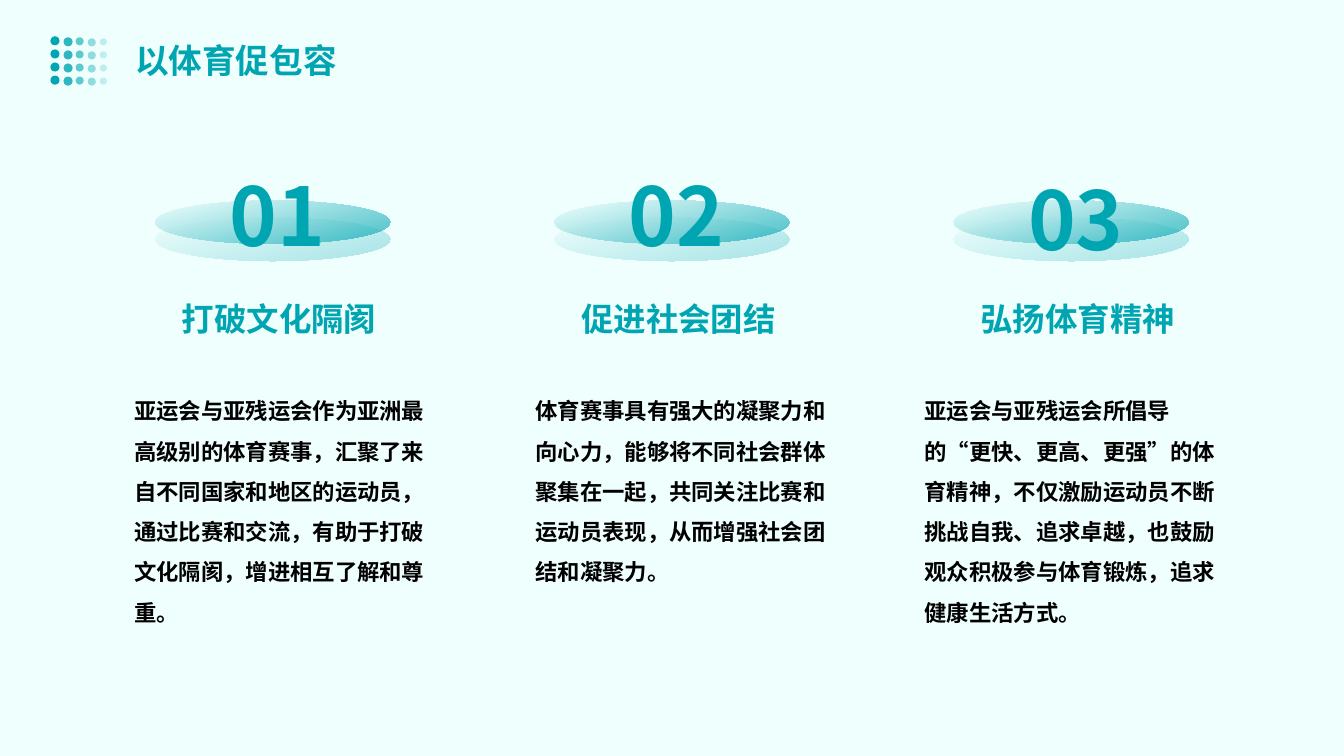
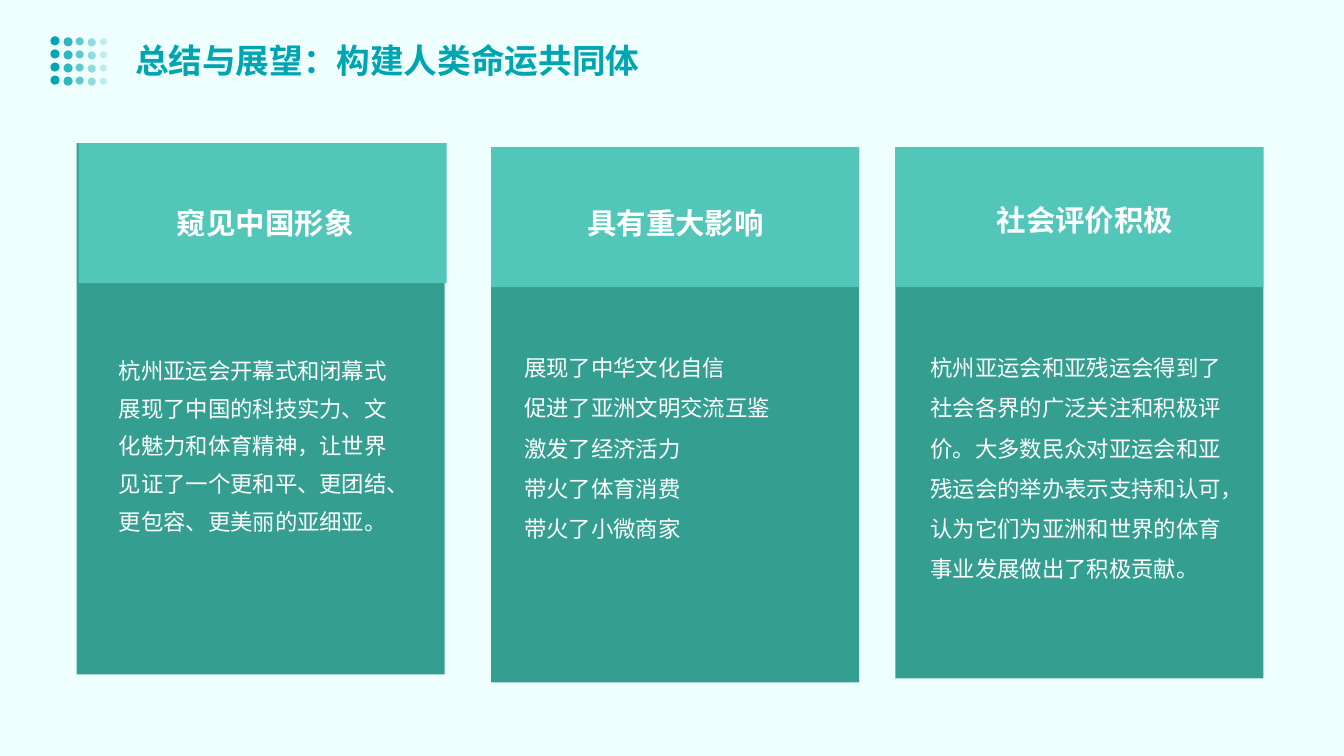
from lxml import etree
from pptx import Presentation
from pptx.dml.color import RGBColor
from pptx.enum.shapes import MSO_SHAPE
from pptx.enum.text import MSO_ANCHOR, MSO_AUTO_SIZE, PP_ALIGN
from pptx.oxml.ns import qn
from pptx.util import Inches, Pt

ELLIPSE, RECTANGLE = MSO_SHAPE.OVAL, MSO_SHAPE.RECTANGLE
LEFT, CENTER = PP_ALIGN.LEFT, PP_ALIGN.CENTER
TOP = MSO_ANCHOR.TOP
GROW, FIXED = MSO_AUTO_SIZE.SHAPE_TO_FIT_TEXT, MSO_AUTO_SIZE.NONE
TITLE_ONLY = 5

FONT = "Noto Sans CJK SC"
COLORS = {
    "mint": "EFFFFD",
    "teal": "00A5B2",
    "panel": "349E91",
    "header": "52C6B8",
    "black": "000000",
    "white": "FFFFFF",
}
# Text styles: size, colour, weight, alignment and line spacing
STYLES = {
    "title": dict(size=24, color="teal", bold=True, align=LEFT, spacing=1.4),
    "number": dict(size=57.8, color="teal", bold=True, align=CENTER, spacing=1.4),
    "heading": dict(size=23.2, color="teal", bold=True, align=CENTER, spacing=1.2),
    "body": dict(size=16, color="black", bold=True, align=LEFT, spacing=1.5),
    "card title": dict(size=21, color="white", bold=True, align=CENTER, spacing=1.2),
    "card body": dict(size=16, color="white", bold=False, align=LEFT, spacing=1.5),
    "card tight": dict(size=16, color="white", bold=False, align=LEFT, spacing=1.4),
}
WIDE_INSETS = (0.14, 0.14, 0.06, 0.14)
PLAIN_INSETS = (0.1, 0.05, 0.1, 0.05)

# Dot ornament columns: left, top offset, diameter, opacity
DOT_COLUMNS = [
    (0.5, 0, 0.09, 100),
    (0.63, 0.01, 0.09, 80),
    (0.75, 0.01, 0.08, 60),
    (0.87, 0.02, 0.08, 40),
    (0.99, 0.02, 0.07, 20),
]
DOT_ROWS, DOT_TOP, DOT_PITCH = 4, 0.36, 0.13


def rgb(name):
    return RGBColor.from_string(COLORS[name])


class SlideBuilder:
    def __init__(self):
        self.deck = Presentation()
        self.deck.slide_width = Inches(13.33)
        self.deck.slide_height = Inches(7.5)
        background = self.deck.slide_master.background.fill
        background.solid()
        background.fore_color.rgb = rgb("mint")
        self.page = None

    def new_page(self, title):
        layout = self.deck.slide_layouts[TITLE_ONLY]
        self.page = self.deck.slides.add_slide(layout)
        box = self.page.shapes.title
        box.left, box.top = Inches(1.2), Inches(0.1)
        box.width, box.height = Inches(10.94), Inches(0.84)
        self.set_text(box, [title], "title")
        self.dots()

    def dots(self):
        group = self.page.shapes.add_group_shape()
        for row in range(DOT_ROWS):
            for left, offset, size, opacity in DOT_COLUMNS:
                top = DOT_TOP + row * DOT_PITCH + offset
                dot = self.shape(ELLIPSE, left, top, size, size, "teal", group)
                self.fade(dot, opacity)

    def shape(self, kind, left, top, width, height, color, parent=None):
        shapes = (parent or self.page).shapes
        shape = shapes.add_shape(
            kind, Inches(left), Inches(top), Inches(width), Inches(height))
        shape.shadow.inherit = False
        shape.line.fill.background()
        shape.fill.solid()
        shape.fill.fore_color.rgb = rgb(color)
        return shape

    def disc(self, left, top, opacity):
        disc = self.shape(ELLIPSE, left, top, 2.33, 0.43, "teal")
        disc.fill.gradient()
        disc.fill.gradient_angle = 285
        for stop, color in zip(disc.fill.gradient_stops, ("mint", "teal")):
            stop.color.rgb = rgb(color)
        self.fade(disc, opacity)

    def fade(self, shape, opacity):
        if opacity < 100:
            for color in shape._element.spPr.iter(qn("a:srgbClr")):
                alpha = etree.SubElement(color, qn("a:alpha"))
                alpha.set("val", str(opacity * 1000))

    def text(self, left, top, width, height, lines, style,
             insets=WIDE_INSETS, fit=GROW):
        box = self.page.shapes.add_textbox(
            Inches(left), Inches(top), Inches(width), Inches(height))
        self.set_text(box, lines, style, insets, fit)

    def set_text(self, box, lines, style, insets=WIDE_INSETS, fit=GROW):
        look = STYLES[style]
        frame = box.text_frame
        settings = dict(word_wrap=True, auto_size=fit, vertical_anchor=TOP)
        sides = ("margin_left", "margin_top", "margin_right", "margin_bottom")
        settings.update(zip(sides, map(Inches, insets)))
        for name, value in settings.items():
            setattr(frame, name, value)
        for index, line in enumerate(lines):
            para = frame.add_paragraph() if index else frame.paragraphs[0]
            para.alignment = look["align"]
            para.line_spacing = look["spacing"]
            para.space_before = Pt(0)
            span = para.add_run()
            span.text = line
            formats = dict(name=FONT, size=Pt(look["size"]), bold=look["bold"])
            for name, value in formats.items():
                setattr(span.font, name, value)
            span.font.color.rgb = rgb(look["color"])
            properties = span._r.get_or_add_rPr()
            properties.set("lang", "zh-CN")
            etree.SubElement(properties, qn("a:ea")).set("typeface", FONT)


def build_inclusion(builder):
    builder.new_page("以体育促包容")
    # Columns: heading, number top, body left, body height, body
    columns = [
        ("打破文化隔阂", 1.12, 1.19, 2.69,
         "亚运会与亚残运会作为亚洲最高级别的体育赛事，汇聚了来自不同国家和地区的运动员，"
         "通过比赛和交流，有助于打破文化隔阂，增进相互了解和尊重。"),
        ("促进社会团结", 1.12, 5.17, 2.29,
         "体育赛事具有强大的凝聚力和向心力，能够将不同社会群体聚集在一起，"
         "共同关注比赛和运动员表现，从而增强社会团结和凝聚力。"),
        ("弘扬体育精神", 1.16, 9.03, 2.69,
         "亚运会与亚残运会所倡导的“更快、更高、更强”的体育精神，不仅激励运动员不断"
         "挑战自我、追求卓越，也鼓励观众积极参与体育锻炼，追求健康生活方式。"),
    ]
    for index, (heading, number_top, body_left, height, body) in enumerate(columns):
        left = 1.54 + index * 3.96
        builder.disc(left, 2.16, 30)
        builder.disc(left, 1.99, 70)
        builder.text(left + 0.08, number_top, 2.18, 1.68,
                     [f"{index + 1:02}"], "number")
        builder.text(left - 0.43, 2.75, 3.24, 1.24, [heading], "heading")
        builder.text(body_left, 3.67, 3.29, height, [body], "body")


def build_summary(builder):
    builder.new_page("总结与展望：构建人类命运共同体")
    # Cards: panel position, header position, title position, title
    cards = [
        ((0.76, 1.42), (0.78, 1.42), (0.95, 1.82), "窥见中国形象"),
        ((4.87, 1.5), (4.87, 1.46), (5.02, 1.82), "具有重大影响"),
        ((8.88, 1.46), (8.88, 1.46), (9.08, 1.8), "社会评价积极"),
    ]
    for panel, header, title_place, title in cards:
        builder.shape(RECTANGLE, *panel, 3.65, 5.27, "panel")
        builder.shape(RECTANGLE, *header, 3.65, 1.39, "header")
        builder.text(*title_place, 3.28, 0.69, [title], "card title")

    # Card texts
    builder.text(1.08, 3.39, 2.97, 2.01, [
        "杭州亚运会开幕式和闭幕式展现了中国的科技实力、文化魅力和体育精神，"
        "让世界见证了一个更和平、更团结、更包容、更美丽的亚细亚。",
    ], "card tight", PLAIN_INSETS, FIXED)
    builder.text(5.06, 3.24, 3.28, 2.29, [
        "展现了中华文化自信",
        "促进了亚洲文明交流互鉴",
        "激发了经济活力",
        "带火了体育消费",
        "带火了小微商家",
    ], "card body")
    builder.text(9.09, 3.24, 3.28, 2.69, [
        "杭州亚运会和亚残运会得到了社会各界的广泛关注和积极评价。"
        "大多数民众对亚运会和亚残运会的举办表示支持和认可，"
        "认为它们为亚洲和世界的体育事业发展做出了积极贡献。",
    ], "card body")


def main():
    builder = SlideBuilder()
    build_inclusion(builder)
    build_summary(builder)
    builder.deck.save("out.pptx")


if __name__ == "__main__":
    main()
